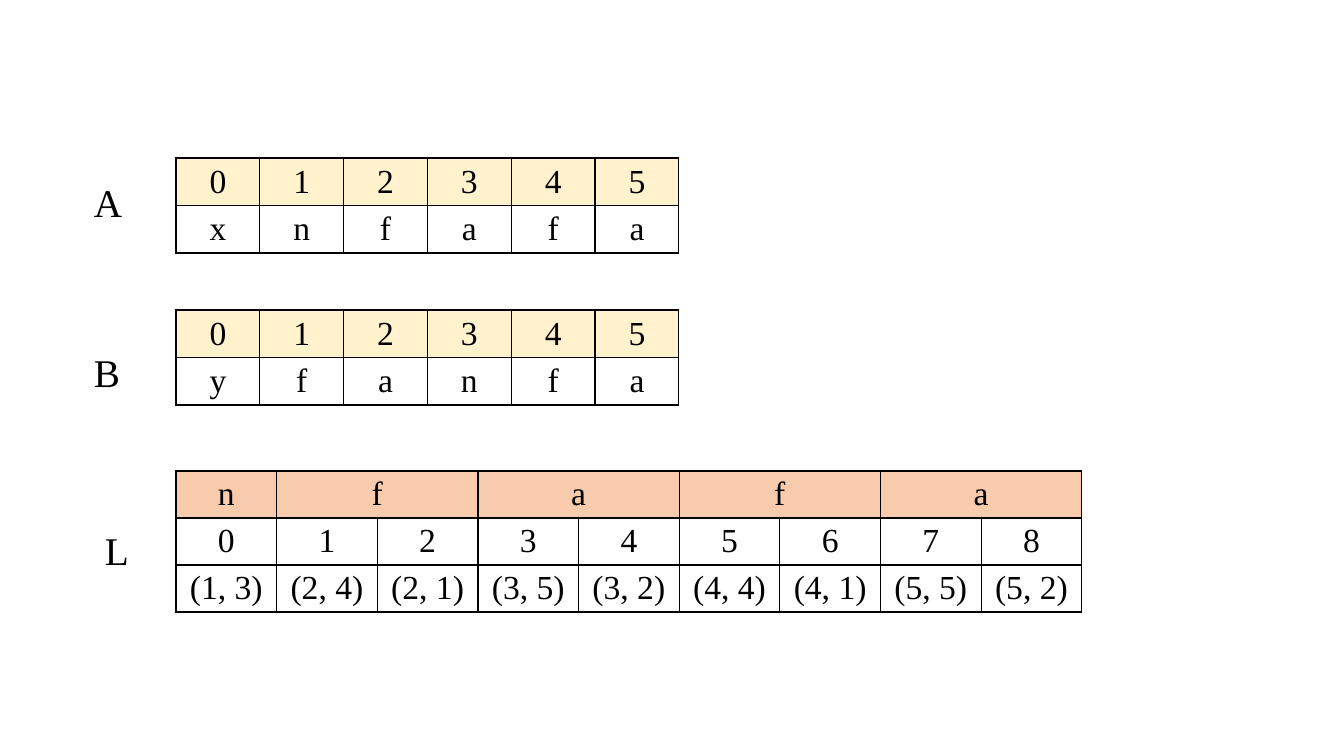
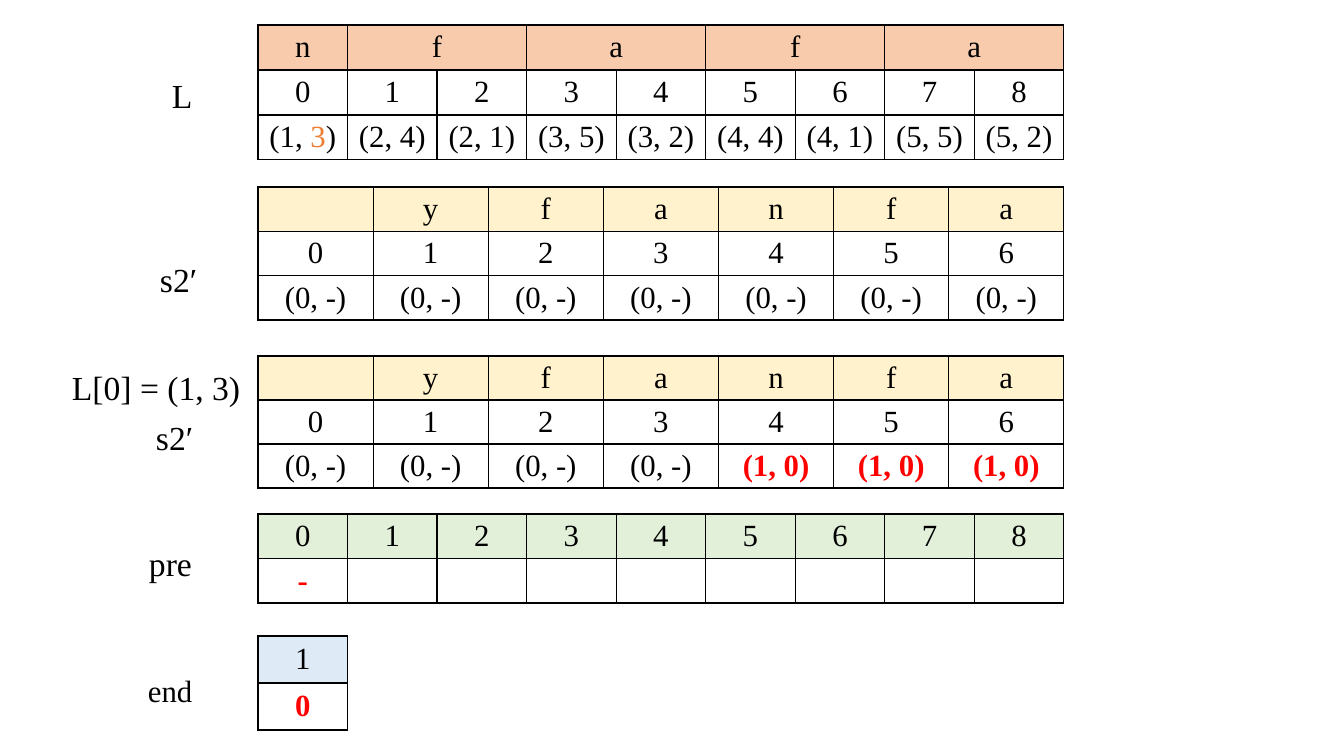
from collections import namedtuple

from lxml import etree
from pptx import Presentation
from pptx.dml.color import RGBColor
from pptx.enum.text import MSO_ANCHOR, PP_ALIGN
from pptx.oxml.ns import qn
from pptx.util import Pt

EMU_PER_PX = 914400 / 100.8
FONT = "Times New Roman"
BLACK = RGBColor(0x00, 0x00, 0x00)
WHITE = RGBColor(0xFF, 0xFF, 0xFF)
RED = RGBColor(0xFF, 0x00, 0x00)
ORANGE = RGBColor(0xED, 0x7D, 0x31)
PEACH = RGBColor(0xF8, 0xCB, 0xAD)
CREAM = RGBColor(0xFF, 0xF2, 0xCC)
GREEN = RGBColor(0xE2, 0xF0, 0xD9)
BLUE = RGBColor(0xDE, 0xEB, 0xF7)

Box = namedtuple("Box", "left top width height")
Part = namedtuple("Part", "text color bold", defaults=(BLACK, False))

MATCHES = ["n", "f", None, "a", None, "f", None, "a", None]
PAIRS = ["(1, 3)", "(2, 4)", "(2, 1)", "(3, 5)", "(3, 2)",
         "(4, 4)", "(4, 1)", "(5, 5)", "(5, 2)"]
FIRST_PAIR = [Part("(1, "), Part("3", ORANGE), Part(")")]
STATE_HEAD = ["", *"yfanfa"]
UNSET = "(0, -)"


def px(n):
    return round(n * EMU_PER_PX)


def indices(count):
    return [str(i) for i in range(count)]


def hot(text):
    return [Part(text, RED, True)]


def set_borders(cell):
    tc_pr = cell._tc.get_or_add_tcPr()
    for side in ("lnL", "lnR", "lnT", "lnB"):
        ln = etree.SubElement(tc_pr, qn(f"a:{side}"), w=str(Pt(1)))
        fill = etree.SubElement(ln, qn("a:solidFill"))
        etree.SubElement(fill, qn("a:srgbClr"), val=str(BLACK))


def fill_cell(cell, content, size, color):
    """Write a string or a list of Parts into a bordered cell."""
    set_borders(cell)
    cell.fill.solid()
    cell.fill.fore_color.rgb = color
    cell.vertical_anchor = MSO_ANCHOR.MIDDLE
    cell.margin_left = cell.margin_right = px(2)
    cell.margin_top = cell.margin_bottom = px(2)
    p = cell.text_frame.paragraphs[0]
    p.alignment = PP_ALIGN.CENTER
    p.font.size = Pt(size)
    p.font.name = FONT
    parts = [Part(content)] if isinstance(content, str) else content or []
    for part in parts:
        if part.text:
            r = p.add_run()
            r.text = part.text
            r.font.size = Pt(size)
            r.font.name = FONT
            r.font.bold = part.bold
            r.font.color.rgb = part.color


def add_grid(slide, box, rows, size, head_color):
    """Draw an even grid; None in a row widens the cell to its left."""
    n_rows, n_cols = len(rows), len(rows[0])
    table = slide.shapes.add_table(n_rows, n_cols, *map(px, box)).table
    table.first_row = table.horz_banding = False
    for col in table.columns:
        col.width = px(box.width / n_cols)
    for i, values in enumerate(rows):
        table.rows[i].height = px(box.height / n_rows)
        for j, value in enumerate(values):
            fill_cell(table.cell(i, j), value, size, WHITE if i else head_color)
        for j, value in enumerate(values):
            if value is None:
                table.cell(i, j - 1).merge(table.cell(i, j))


def add_label(slide, text, left, middle, size):
    """Place one line of text centred vertically on middle."""
    height = 48
    sp = slide.shapes.add_textbox(px(left), px(middle - height / 2), px(180), px(height))
    tf = sp.text_frame
    tf.word_wrap = True
    tf.vertical_anchor = MSO_ANCHOR.MIDDLE
    tf.margin_left = tf.margin_right = tf.margin_top = tf.margin_bottom = 0
    p = tf.paragraphs[0]
    p.text = text
    p.font.size = Pt(size)
    p.font.name = FONT
    p.font.color.rgb = BLACK


def build_inputs(slide):
    left, size = 176, 24
    for top, letters in ((158, "xnfafa"), (310, "yfanfa")):
        add_grid(slide, Box(left, top, 503, 95), [indices(6), list(letters)], size, CREAM)
    add_grid(slide, Box(left, 471, 906, 141), [MATCHES, indices(9), PAIRS], size, PEACH)
    for text, x, middle in (("A", 94, 202), ("B", 94, 372), ("L", 105, 550)):
        add_label(slide, text, x, middle, 28)


def build_first_step(slide):
    left, width, size = 258, 806, 22
    grids = [
        (25, 135, width, PEACH, [MATCHES, indices(9), [FIRST_PAIR, *PAIRS[1:]]]),
        (187, 133, width, CREAM, [STATE_HEAD, indices(7), [UNSET] * 7]),
        (356, 132, width, CREAM,
         [STATE_HEAD, indices(7), [UNSET] * 4 + [hot("(1, 0)")] * 3]),
        (514, 89, width, GREEN, [indices(9), [hot("-")] + [""] * 8]),
        (636, 94, width / 9, BLUE, [["1"], [hot("0")]]),
    ]
    for top, height, grid_width, color, rows in grids:
        add_grid(slide, Box(left, top, grid_width, height), rows, size, color)
    labels = [("L", 172, 95, 24), ("s2′", 160, 279, 24), ("L[0] = (1, 3)", 72, 387, 24),
              ("s2′", 156, 437, 24), ("pre", 149, 563, 24), ("end", 148, 690, 22)]
    for label in labels:
        add_label(slide, *label)


def main():
    prs = Presentation()
    prs.slide_width, prs.slide_height = px(1344), px(756)
    blank = prs.slide_layouts[6]
    for build in (build_inputs, build_first_step):
        build(prs.slides.add_slide(blank))
    prs.save("out.pptx")


if __name__ == "__main__":
    main()
